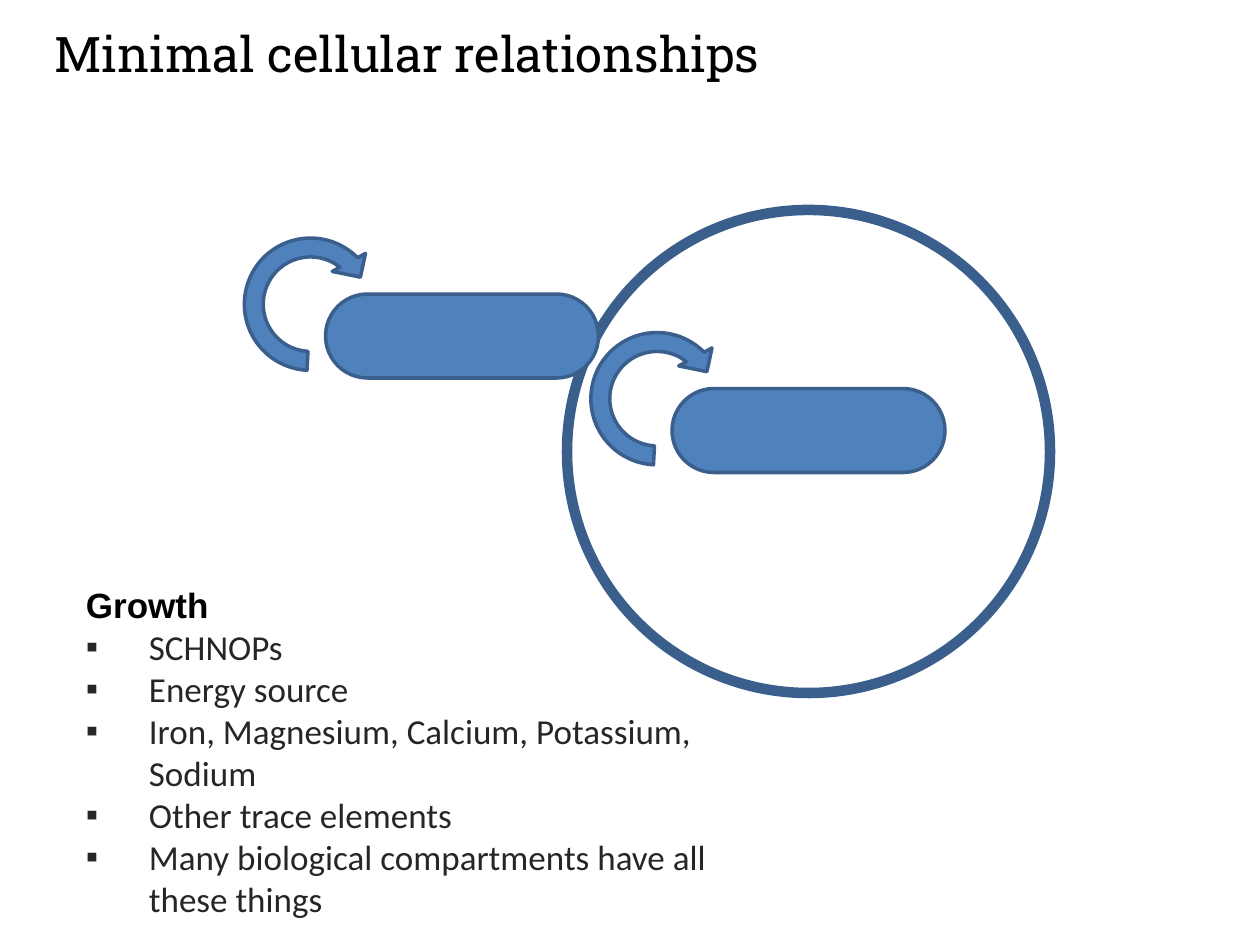
"""Build the slide on minimal cellular relationships."""
from lxml.etree import SubElement
from pptx import Presentation
from pptx.dml.color import RGBColor
from pptx.enum.shapes import MSO_SHAPE as Shape
from pptx.enum.text import MSO_AUTO_SIZE as AutoSize
from pptx.oxml.ns import qn
from pptx.util import Pt

BLACK = RGBColor(0x00, 0x00, 0x00)
CHARCOAL = RGBColor(0x26, 0x26, 0x26)
BLUE = RGBColor(0x4F, 0x81, 0xBD)
NAVY = RGBColor(0x3A, 0x5F, 0x8C)

CELLS = [(186, 168), (384, 222)]
ARROW_SHIFT = (-51.75, -37.35)
NEEDS = [
    "SCHNOPs",
    "Energy source",
    "Iron, Magnesium, Calcium, Potassium, Sodium",
    "Other trace elements",
    "Many biological compartments have all these things",
]


def write(para, text, font="Calibri", size=20, color=CHARCOAL, bold=False, indent=0, bullet=None):
    span = para.add_run()
    span.text = text
    span.font.name = font
    span.font.size = Pt(size)
    span.font.bold = bold
    span.font.color.rgb = color
    props = para._p.get_or_add_pPr()
    props.set("marL", str(Pt(indent)))
    props.set("indent", str(Pt(-indent)))
    if bullet:
        SubElement(props, qn("a:buFont"), typeface="Arial")
        SubElement(props, qn("a:buChar"), char=bullet)
    else:
        SubElement(props, qn("a:buNone"))


class Painter:
    def __init__(self, page, line=NAVY):
        self.page = page
        self.line = line

    def shape(self, kind, left, top, width, height, fill=None, weight=2, turn=0, adjust=()):
        shape = self.page.shapes.add_shape(kind, Pt(left), Pt(top), Pt(width), Pt(height))
        shape.shadow.inherit = False
        shape.rotation = turn
        for index, value in enumerate(adjust):
            shape.adjustments[index] = value
        if fill is None:
            shape.fill.background()
        else:
            shape.fill.solid()
            shape.fill.fore_color.rgb = fill
        shape.line.color.rgb = self.line
        shape.line.width = Pt(weight)

    def host(self, left, top, size):
        self.shape(Shape.OVAL, left, top, size, size, weight=6)

    def cell(self, left, top):
        self.shape(Shape.ROUNDED_RECTANGLE, left, top, 156, 48, fill=BLUE, adjust=[0.5])

    def cycle(self, left, top):
        self.shape(Shape.CIRCULAR_ARROW, left, top, 86.4, 86.4, fill=BLUE, turn=331.6,
                   adjust=[0.125, 11.42, 204.58, 72.88, 0.125])

    def text(self, left, top, width, height):
        box = self.page.shapes.add_textbox(Pt(left), Pt(top), Pt(width), Pt(height))
        frame = box.text_frame
        frame.word_wrap = True
        frame.auto_size = AutoSize.SHAPE_TO_FIT_TEXT
        return frame


def main():
    deck = Presentation()
    deck.slide_width, deck.slide_height = Pt(720), Pt(540)
    painter = Painter(deck.slides.add_slide(deck.slide_layouts[6]))

    title = painter.text(24, 10, 678, 41)
    write(title.paragraphs[0], "Minimal cellular relationships",
          font="Roboto Slab", size=28, color=BLACK)

    painter.host(324, 120, 276)
    for left, top in CELLS:
        painter.cell(left, top)
    for left, top in CELLS:
        painter.cycle(left + ARROW_SHIFT[0], top + ARROW_SHIFT[1])

    growth = painter.text(42, 330, 408, 201)
    write(growth.paragraphs[0], "Growth", font="Arial", color=BLACK, bold=True, indent=36)
    for need in NEEDS:
        write(growth.add_paragraph(), need, indent=36, bullet="▪")

    deck.save("out.pptx")


if __name__ == "__main__":
    main()
